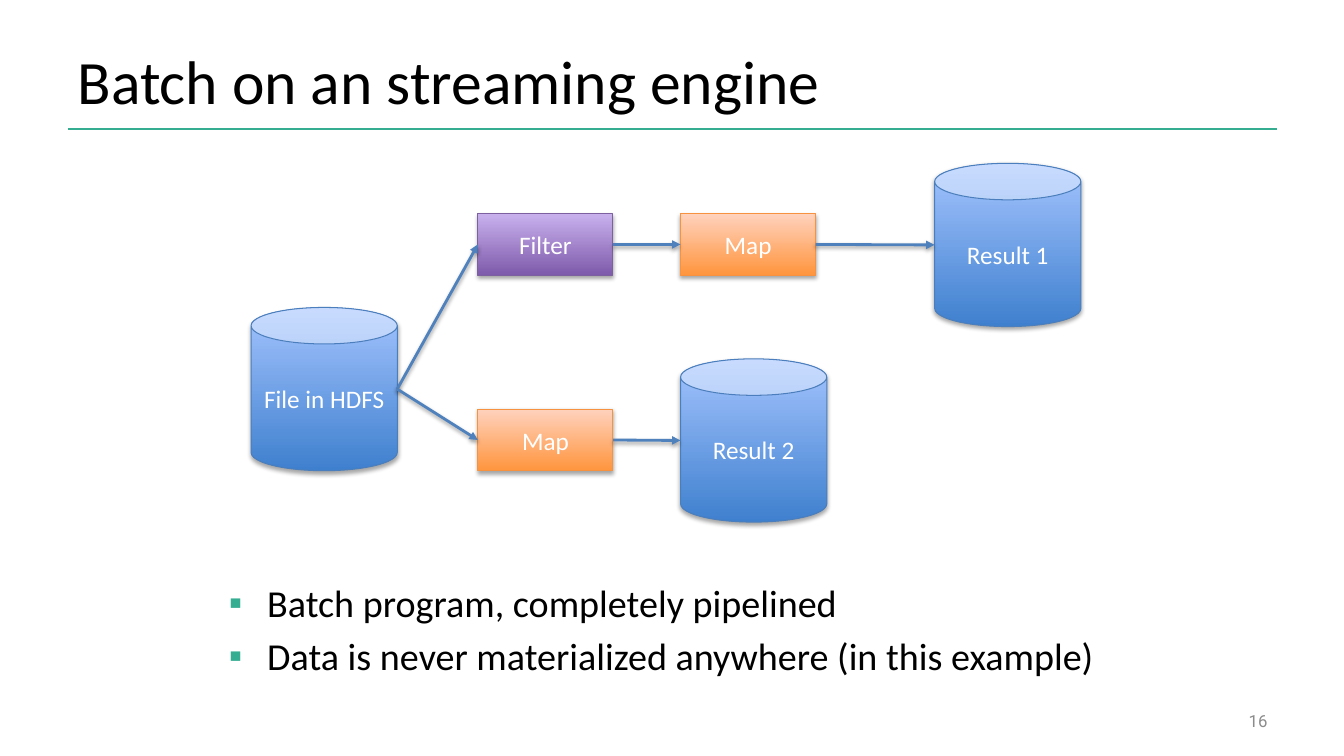
"""Builds a slide showing a batch program as a dataflow on a streaming engine."""
from lxml import etree
from pptx import Presentation
from pptx.dml.color import RGBColor
from pptx.enum.shapes import MSO_CONNECTOR, MSO_SHAPE
from pptx.enum.text import MSO_ANCHOR, MSO_AUTO_SIZE, PP_ALIGN
from pptx.oxml.ns import qn
from pptx.util import Inches, Pt

STRAIGHT = MSO_CONNECTOR.STRAIGHT
CAN, RECTANGLE = MSO_SHAPE.CAN, MSO_SHAPE.RECTANGLE
MIDDLE, TOP = MSO_ANCHOR.MIDDLE, MSO_ANCHOR.TOP
LEFT, CENTER, RIGHT = PP_ALIGN.LEFT, PP_ALIGN.CENTER, PP_ALIGN.RIGHT
NO_AUTOFIT = MSO_AUTO_SIZE.NONE

BLACK = RGBColor(0x00, 0x00, 0x00)
WHITE = RGBColor(0xFF, 0xFF, 0xFF)
GRAY = RGBColor(0x8C, 0x8C, 0x8C)
GREEN = RGBColor(0x34, 0xAD, 0x91)
ARROW_BLUE = RGBColor(0x4F, 0x81, 0xBD)
BLUE = (RGBColor(0x3F, 0x80, 0xCE), RGBColor(0xA4, 0xC4, 0xFF), RGBColor(0x4B, 0x7E, 0xBC))
PURPLE = (RGBColor(0x7F, 0x5B, 0xAB), RGBColor(0xC8, 0xB0, 0xED), RGBColor(0x7D, 0x60, 0xA0))
ORANGE = (RGBColor(0xFF, 0x95, 0x3E), RGBColor(0xFF, 0xD2, 0xBD), RGBColor(0xF6, 0x92, 0x40))

STORE = (CAN, 1.45, 1.62, BLUE)
FILTER = (RECTANGLE, 1.34, 0.61, PURPLE)
MAP = (RECTANGLE, 1.34, 0.61, ORANGE)


def style_font(paragraph, size, color, align, name="Calibri"):
    paragraph.alignment = align
    paragraph.font.name = name
    paragraph.font.size = Pt(size)
    paragraph.font.color.rgb = color


def add_shadow(effects, distance, opacity):
    shadow = etree.SubElement(effects, qn("a:outerShdw"), blurRad=str(Pt(3.1)),
                              dist=str(Pt(distance)), dir="5400000", rotWithShape="0")
    color = etree.SubElement(shadow, qn("a:srgbClr"), val="000000")
    etree.SubElement(color, qn("a:alpha"), val=str(opacity * 1000))


prs = Presentation()
prs.slide_width, prs.slide_height = Inches(13.33), Inches(7.5)
slide = prs.slides.add_slide(prs.slide_layouts[1])
shapes = slide.shapes

title_rule = shapes.add_connector(STRAIGHT, Inches(0.67), Inches(1.28), Inches(12.67), Inches(1.28))
title_rule.line.color.rgb = GREEN
title_rule.line.width = Pt(2)
etree.SubElement(title_rule._element.spPr, qn("a:effectLst"))

title = shapes.title
title.left, title.top, title.width, title.height = map(Inches, (0.67, 0.3, 10.9, 0.98))
title.text_frame.text = "Batch on an streaming engine"
title.text_frame.auto_size = NO_AUTOFIT
title.text_frame.vertical_anchor = MIDDLE
style_font(title.text_frame.paragraphs[0], 44, BLACK, LEFT)

page_number = shapes.add_textbox(Inches(9.56), Inches(6.95), Inches(3.11), Inches(0.4)).text_frame
page_number.word_wrap = True
page_number.vertical_anchor = MIDDLE
page_number.text = "16"
style_font(page_number.paragraphs[0], 12, GRAY, RIGHT, "Roboto")

steps = {}
for key, label, (kind, width, height, colors), left, top in [
    ("source", "File in HDFS", STORE, 2.49, 3.05),
    ("filter", "Filter", FILTER, 4.74, 2.12),
    ("upper map", "Map", MAP, 6.75, 2.12),
    ("result 1", "Result 1", STORE, 9.27, 1.62),
    ("lower map", "Map", MAP, 4.74, 4.06),
    ("result 2", "Result 2", STORE, 6.75, 3.56),
]:
    step = shapes.add_shape(kind, Inches(left), Inches(top), Inches(width), Inches(height))
    dark, light, outline = colors
    step.fill.gradient()
    step.fill.gradient_angle = 90
    for stop, color, position in zip(step.fill.gradient_stops, (dark, light), (0, 1)):
        stop.color.rgb = color
        stop.position = position
    step.line.color.rgb = outline
    step.line.width = Pt(0.75)
    step.shadow.inherit = False
    add_shadow(step._element.spPr.find(qn("a:effectLst")), 1.8, 35)
    step.text_frame.text = label
    step.text_frame.vertical_anchor = MIDDLE
    style_font(step.text_frame.paragraphs[0], 18, WHITE, CENTER)
    steps[key] = step

for start_key, end_key in [
    ("source", "filter"),
    ("source", "lower map"),
    ("filter", "upper map"),
    ("upper map", "result 1"),
    ("lower map", "result 2"),
]:
    start, end = steps[start_key], steps[end_key]
    arrow = shapes.add_connector(STRAIGHT, start.left + start.width, start.top + start.height // 2,
                                 end.left, end.top + end.height // 2)
    if start.auto_shape_type == RECTANGLE:
        arrow.begin_connect(start, 3)
    if end.auto_shape_type == RECTANGLE:
        arrow.end_connect(end, 1)
    arrow.line.color.rgb = ARROW_BLUE
    arrow.line.width = Pt(2)
    etree.SubElement(arrow.line._get_or_add_ln(), qn("a:tailEnd"), type="triangle")
    add_shadow(etree.SubElement(arrow._element.spPr, qn("a:effectLst")), 1.6, 38)

body = slide.placeholders[1]
body.left, body.top, body.width, body.height = map(Inches, (2.17, 5.7, 9, 1.31))
takeaways = body.text_frame
takeaways.auto_size = NO_AUTOFIT
takeaways.vertical_anchor = TOP
takeaways.text = ("Batch program, completely pipelined\n"
                  "Data is never materialized anywhere (in this example)")
for takeaway, gap in zip(takeaways.paragraphs, (0, 5.4)):
    takeaway.space_before = Pt(gap)
    properties = takeaway._p.get_or_add_pPr()
    properties.set("marL", str(Inches(0.38)))
    properties.set("indent", str(Inches(-0.38)))
    bullet_color = etree.SubElement(properties, qn("a:buClr"))
    etree.SubElement(bullet_color, qn("a:srgbClr"), val=str(GREEN))
    etree.SubElement(properties, qn("a:buChar"), char="▪")
    style_font(takeaway, 27.2, BLACK, LEFT)

prs.save("out.pptx")
